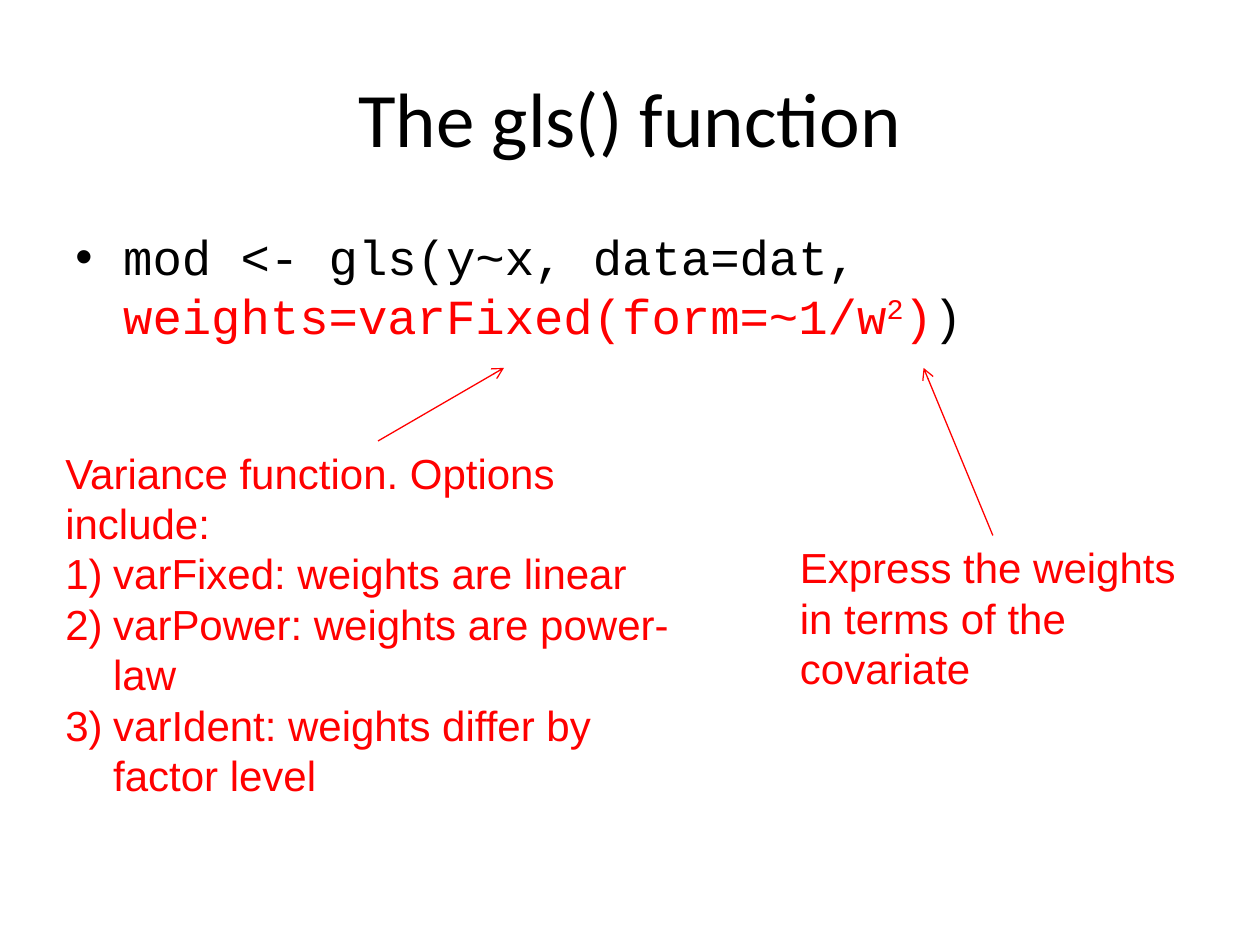
import pptx
import pptx.util
import pptx.dml.color
import pptx.enum.shapes
import pptx.enum.text
import pptx.oxml
import pptx.oxml.ns

Inches, Pt = pptx.util.Inches, pptx.util.Pt
THEME = {
    "black": "000000", "red": "FF0000", "paper": "FFFFFF",
    "title": ("Calibri", 44), "code": ("Courier New", 28), "note": ("Arial", 24),
    "indent": 0.38, "line": 0.75,
}

TITLE = "The gls() function"
CODE = [
    ("mod <- gls(y~x, data=dat, ", "black", 0),
    ("weights=varFixed(form=~1/w", "red", 0),
    ("2", "red", 30),
    (")", "red", 0),
    (")", "black", 0),
]
VARIANCE_INTRO = "Variance function. Options include:"
VARIANCE_OPTIONS = [
    "varFixed: weights are linear",
    "varPower: weights are power-law",
    "varIdent: weights differ by factor level",
]
COVARIATE_NOTE = "Express the weights in terms of the covariate"
ARROWS = [((3, 3.5), (4, 2.92)), ((7.88, 4.25), (7.33, 2.92))]


def rgb(name):
    return pptx.dml.color.RGBColor.from_string(THEME[name])


def add_xml(parent, tag, **attrs):
    el = pptx.oxml.parse_xml(f"<a:{tag} {pptx.oxml.ns.nsdecls('a')}/>")
    for key, value in attrs.items():
        el.set(key, value)
    parent.append(el)


def add_run(p, text, style, color, raised=0):
    r = p.add_run()
    r.text = text
    name, size = THEME[style]
    r.font.name, r.font.size = name, Pt(size)
    r.font.color.rgb = rgb(color)
    if raised:
        r.font._element.set("baseline", str(raised * 1000))


def hang(p, tag, **attrs):
    pPr = p._p.get_or_add_pPr()
    pPr.set("marL", str(Inches(THEME["indent"])))
    pPr.set("indent", str(-Inches(THEME["indent"])))
    add_xml(pPr, "buFont", typeface="Arial")
    add_xml(pPr, tag, **attrs)


def add_text(slide, box):
    tf = slide.shapes.add_textbox(*map(Inches, box)).text_frame
    tf.word_wrap = True
    return tf


def add_arrow(slide, start, end):
    line = slide.shapes.add_connector(
        pptx.enum.shapes.MSO_CONNECTOR.STRAIGHT, *map(Inches, start + end))
    line.line.color.rgb = rgb("red")
    line.line.width = Pt(THEME["line"])
    add_xml(line.line._get_or_add_ln(), "tailEnd", type="arrow")
    add_xml(line._element.spPr, "effectLst")


def main():
    prs = pptx.Presentation()
    prs.slide_width, prs.slide_height = Inches(10), Inches(7.5)
    s = prs.slides.add_slide(prs.slide_layouts[5])
    s.background.fill.solid()
    s.background.fill.fore_color.rgb = rgb("paper")

    title = s.shapes.title
    title.left, title.top, title.width, title.height = map(Inches, (0.5, 0.3, 9, 1.25))
    title.text_frame.vertical_anchor = pptx.enum.text.MSO_ANCHOR.MIDDLE
    p = title.text_frame.paragraphs[0]
    p.alignment = pptx.enum.text.PP_ALIGN.CENTER
    add_run(p, TITLE, "title", "black")

    p = add_text(s, (0.5, 1.75, 9, 2.08)).paragraphs[0]
    p.space_before = Pt(THEME["code"][1] * 0.2)
    hang(p, "buChar", char="•")
    for text, color, raised in CODE:
        add_run(p, text, "code", color, raised)

    tf = add_text(s, (0.42, 3.5, 5.17, 2.93))
    add_run(tf.paragraphs[0], VARIANCE_INTRO, "note", "red")
    for option in VARIANCE_OPTIONS:
        p = tf.add_paragraph()
        hang(p, "buAutoNum", type="arabicParenR")
        add_run(p, option, "note", "red")

    tf = add_text(s, (6.25, 4.25, 3.25, 1.72))
    add_run(tf.paragraphs[0], COVARIATE_NOTE, "note", "red")

    for start, end in ARROWS:
        add_arrow(s, start, end)

    prs.save("out.pptx")


if __name__ == "__main__":
    main()
